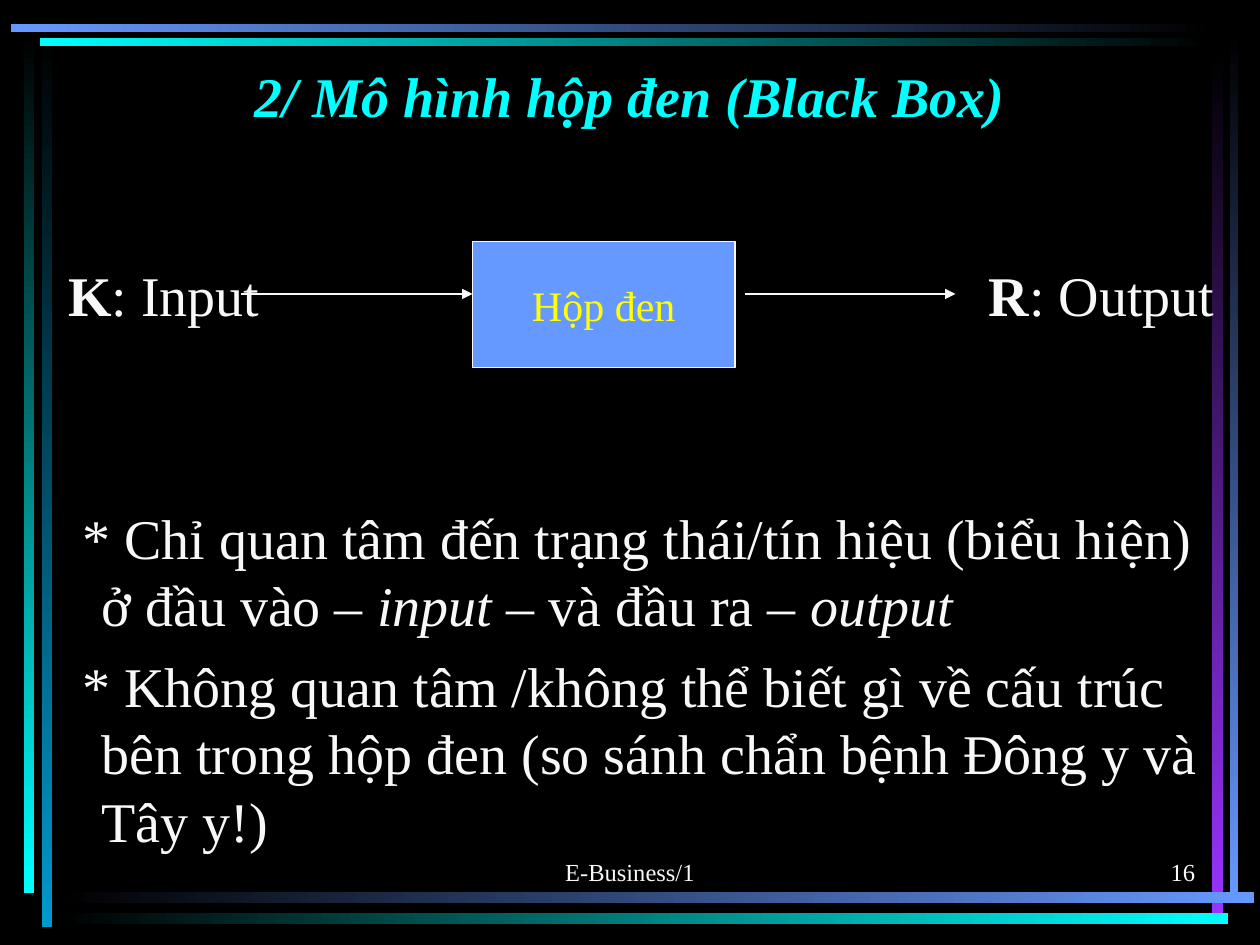
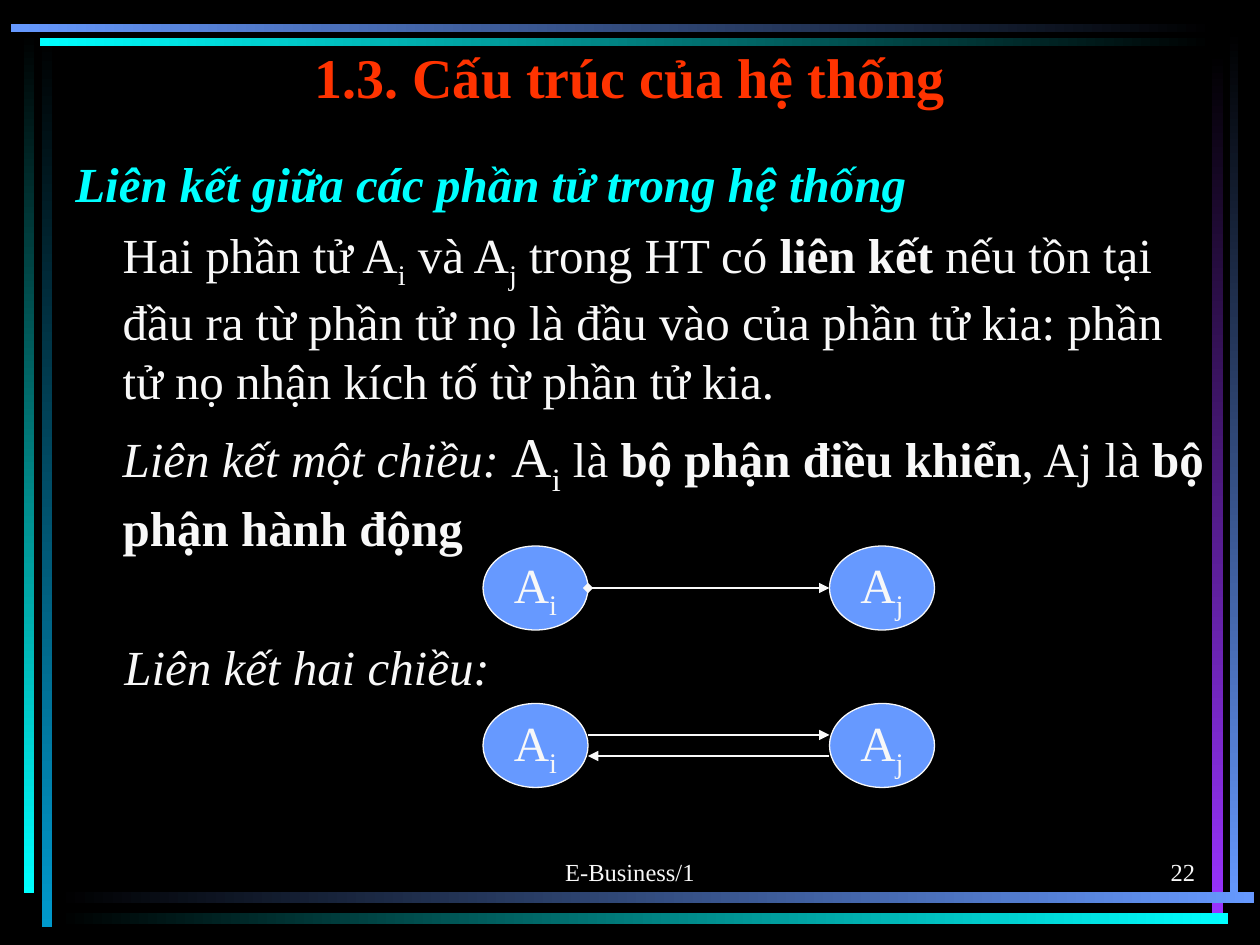
from lxml import etree
from pptx import Presentation
from pptx.dml.color import RGBColor
from pptx.enum.shapes import MSO_CONNECTOR, MSO_SHAPE
from pptx.enum.text import MSO_ANCHOR, PP_ALIGN
from pptx.oxml.ns import qn
from pptx.util import Pt

RECT, OVAL, LINE = MSO_SHAPE.RECTANGLE, MSO_SHAPE.OVAL, MSO_CONNECTOR.STRAIGHT
LEFT, CENTER, RIGHT = PP_ALIGN.LEFT, PP_ALIGN.CENTER, PP_ALIGN.RIGHT
TOP, MIDDLE, BOTTOM = MSO_ANCHOR.TOP, MSO_ANCHOR.MIDDLE, MSO_ANCHOR.BOTTOM
FONT = "Times New Roman"
BLACK, WHITE, BLUE, CYAN = "000000", "F8F8F8", "6699FF", "00FFFF"
TEAL, PURPLE, RED, YELLOW = "0099CC", "9933FF", "FF3300", "FFFF00"
PAGE_BOX = (0, 0, 720, 540)
SUB = {"baseline": -25000}
BOLD = {"bold": True}
ITALIC = {"italic": True}
DOWN, ACROSS = 270, 0
BARS = [
    ((23.8, 20, 6, 510), DOWN, BLACK, TEAL),
    ((13.7, 18, 6, 492.5), DOWN, BLACK, CYAN),
    ((702.7, 17.3, 5, 499), DOWN, BLACK, BLUE),
    ((692.6, 30, 6.2, 492), DOWN, BLACK, PURPLE),
    ((32.4, 509.8, 684, 6), ACROSS, BLACK, BLUE),
    ((32.4, 521.8, 669.6, 6), ACROSS, BLACK, CYAN),
    ((23, 22, 671, 4.4), ACROSS, CYAN, BLACK),
    ((6, 13.6, 688, 4.8), ACROSS, BLUE, BLACK),
]


def rgb(value):
    """Turn a hex string into a colour."""
    return RGBColor.from_string(value)


def lengths(*values):
    """Turn numbers into lengths in points."""
    return [Pt(value) for value in values]


def add_para(frame, spans, size=28, color=WHITE, bold=False, italic=False,
             baseline=0, align=LEFT, before=0, margin=0, indent=0):
    """Add a paragraph of plain text or of (text, format) spans."""
    para = frame.paragraphs[0]
    if para.runs:
        para = frame.add_paragraph()
    para.alignment = align
    para.space_before = Pt(before)
    props = para._p.get_or_add_pPr()
    props.set("marL", str(Pt(margin)))
    props.set("indent", str(Pt(indent)))
    base = dict(size=size, color=color, bold=bold, italic=italic, baseline=baseline)
    for text, changes in [(spans, {})] if isinstance(spans, str) else spans:
        look = base | changes
        span = para.add_run()
        span.text = text
        span.font.name = FONT
        span.font.size = Pt(look["size"])
        span.font.bold = look["bold"]
        span.font.italic = look["italic"]
        span.font.color.rgb = rgb(look["color"])
        if look["baseline"]:
            span._r.get_or_add_rPr().set("baseline", str(look["baseline"]))


def set_frame(frame, anchor, wrap=True, inset=(7.2, 3.6)):
    """Set the anchor, wrapping and insets of a text frame."""
    frame.vertical_anchor = anchor
    frame.word_wrap = wrap
    frame.margin_left = frame.margin_right = Pt(inset[0])
    frame.margin_top = frame.margin_bottom = Pt(inset[1])


def add_text(page, box, spans=None, anchor=TOP, inset=(7.2, 3.6), **look):
    """Add a text box and return its frame."""
    frame = page.shapes.add_textbox(*lengths(*box)).text_frame
    set_frame(frame, anchor, inset=inset)
    if spans:
        add_para(frame, spans, **look)
    return frame


def add_node(page, kind, box, spans, **look):
    """Add a blue shape with a centred label."""
    node = page.shapes.add_shape(kind, *lengths(*box))
    node.shadow.inherit = False
    node.fill.solid()
    node.fill.fore_color.rgb = rgb(BLUE)
    node.line.color.rgb = rgb(WHITE)
    node.line.width = Pt(0.75)
    set_frame(node.text_frame, MIDDLE, wrap=False)
    add_para(node.text_frame, spans, align=CENTER, **look)


def add_arrow(page, start, end, y, head=None):
    """Add a level arrow with an optional mark at its start."""
    arrow = page.shapes.add_connector(LINE, *lengths(start, y, end, y))
    arrow.line.color.rgb = rgb(WHITE)
    arrow.line.width = Pt(0.75)
    line = arrow.line._get_or_add_ln()
    if head:
        etree.SubElement(line, qn("a:headEnd"), type=head)
    etree.SubElement(line, qn("a:tailEnd"), type="triangle")
    etree.SubElement(arrow._element.spPr, qn("a:effectLst"))


def add_bar(page, box, angle, first, last):
    """Add a bar that fades between two colours."""
    bar = page.shapes.add_shape(RECT, *lengths(*box))
    bar.shadow.inherit = False
    bar.line.fill.background()
    bar.fill.gradient()
    bar.fill.gradient_angle = angle
    for stop, color in zip(bar.fill.gradient_stops, (first, last)):
        stop.color.rgb = rgb(color)


def add_page(deck, box, number):
    """Add a black page with its frame of bars and its footer."""
    left, top, width, height = box
    page = deck.slides.add_slide(deck.slide_layouts[6])
    page.background.fill.solid()
    page.background.fill.fore_color.rgb = rgb(BLACK)
    for (x, y, bar_width, bar_height), angle, first, last in BARS:
        add_bar(page, (left + x, top + y, bar_width, bar_height), angle, first, last)
    footer_top = top + height - 66
    add_text(page, (left + width / 2 - 114, footer_top, 228, 36), "E-Business/1",
             anchor=BOTTOM, size=14, align=CENTER)
    add_text(page, (left + width - 180, footer_top, 150, 36), str(number),
             anchor=BOTTOM, size=14, align=RIGHT)
    return page


def add_title(page, box, title, color, italic=False):
    """Add the centred bold title."""
    add_text(page, box, title, anchor=BOTTOM, size=32, color=color, bold=True,
             italic=italic, align=CENTER)


def add_black_box_model(page, box):
    """Draw the input, the black box and the output in a row."""
    left, top, width, height = box
    label_top = top + 11
    add_text(page, (left, label_top, 130, 37), [("K", BOLD), (": Input", {})],
             inset=(0, 0), size=32)
    add_text(page, (left + width - 130, label_top, 140, 37),
             [("R", BOLD), (": Output", {})], inset=(0, 0), size=32)
    add_node(page, RECT, (left + 231, top, 150, height), "Hộp đen", size=24, color=YELLOW)
    for start, end in ((99, 231), (387, 507)):
        add_arrow(page, left + start, left + end, top + 30)


def add_black_box_notes(page, box):
    """Write the two remarks on the black box."""
    frame = add_text(page, box)
    remarks = [
        [("* Chỉ quan tâm đến trạng thái/tín hiệu (biểu hiện) ở đầu vào – ", {}),
         ("input", ITALIC), (" – và đầu ra – ", {}), ("output", ITALIC)],
        "* Không quan tâm /không thể biết gì về cấu trúc bên trong hộp đen "
        "(so sánh chẩn bệnh Đông y và Tây y!)",
    ]
    for remark in remarks:
        add_para(frame, remark, size=32, before=8, margin=27, indent=-11)


def add_link_text(page, box):
    """Write the definitions of one-way and two-way links."""
    frame = add_text(page, box)
    add_para(frame, "Liên kết giữa các phần tử trong hệ thống", color=CYAN,
             bold=True, italic=True, before=7)
    add_para(frame, [
        ("Hai phần tử A", {}), ("i", SUB), (" và A", {}), ("j", SUB),
        (" trong HT có ", {}), ("liên kết", BOLD),
        (" nếu tồn tại đầu ra từ phần tử nọ là đầu vào của phần tử kia: "
         "phần tử nọ nhận kích tố từ phần tử kia.", {}),
    ], before=7, margin=27)
    add_para(frame, [
        ("Liên kết một chiều: ", ITALIC), ("A", {"size": 32}),
        ("i", SUB | {"size": 32}), (" là ", {}), ("bộ phận điều khiển", BOLD),
        (", Aj là ", {}), ("bộ phận hành động", BOLD),
    ], before=7, margin=27)
    add_para(frame, "Liên kết hai chiều:", italic=True, before=46, margin=28)


def add_link(page, box, arrows):
    """Draw two elements and the (y, reversed, head) arrows between them."""
    left, top, width, height = box
    node_width = 60
    right = left + width - node_width
    for x, index in ((left, "i"), (right, "j")):
        add_node(page, OVAL, (x, top, node_width, height), [("A", {}), (index, SUB)])
    for y, is_reversed, head in arrows:
        ends = (left + node_width, right)
        start, end = ends[::-1] if is_reversed else ends
        add_arrow(page, start, end, top + y, head)


def main():
    """Build the deck."""
    deck = Presentation()
    deck.slide_width, deck.slide_height = lengths(*PAGE_BOX[2:])

    page = add_page(deck, PAGE_BOX, 16)
    add_title(page, (54, 33, 612, 44), "2/ Mô hình hộp đen (Black Box)", CYAN, italic=True)
    add_black_box_notes(page, (24, 284, 678, 210))
    add_black_box_model(page, (39, 138, 656, 72))

    page = add_page(deck, PAGE_BOX, 22)
    add_title(page, (54, 22, 612, 44), "1.3. Cấu trúc của hệ thống", RED)
    add_link_text(page, (36, 84, 660, 420))
    add_link(page, (276, 312, 258, 48), [(24, False, "diamond")])
    add_link(page, (276, 402, 258, 48), [(18, False, None), (30, True, None)])

    deck.save("out.pptx")


if __name__ == "__main__":
    main()
